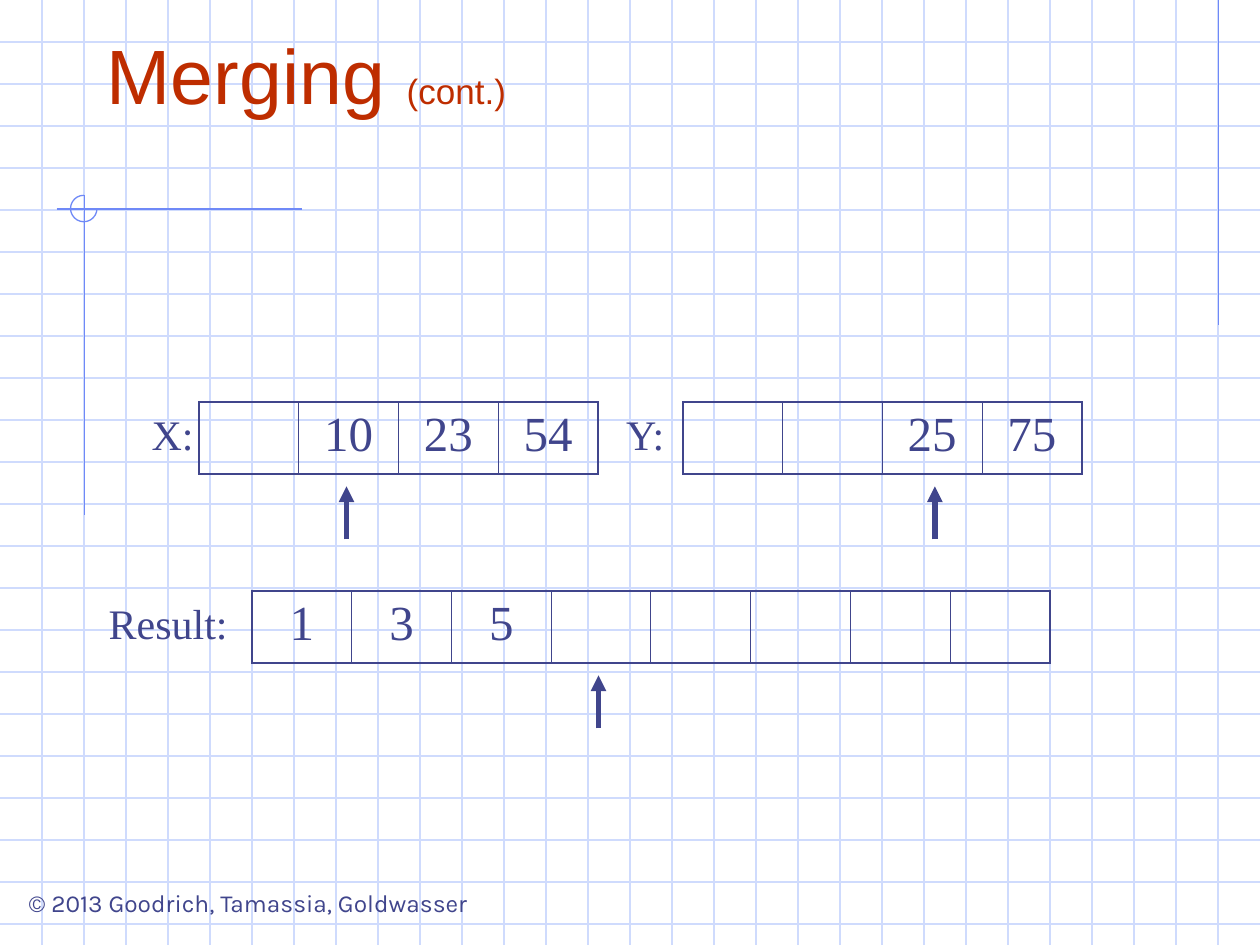
from lxml.etree import SubElement
from pptx import Presentation
from pptx.dml.color import RGBColor
from pptx.enum.shapes import MSO_CONNECTOR as Connector, MSO_SHAPE as Shape
from pptx.enum.text import MSO_ANCHOR as Anchor, PP_ALIGN as Align
from pptx.oxml.ns import qn
from pptx.util import Inches, Pt

COLORS = {"ink": "40458C", "title": "BE2D00", "grid": "CFDBFD", "accent": "6F89F7"}
SERIF = "Times New Roman"
GRID_STEP = 1 / 3
CELL_WIDTH = 0.79167
ROW_HEIGHT = 0.57


def color(name):
    return RGBColor.from_string(COLORS[name])


def write(paragraph, text, font=SERIF, size=24, ink="ink", align=Align.CENTER):
    paragraph.alignment = align
    run = paragraph.add_run()
    run.text = text
    run.font.name = font
    run.font.size = Pt(size)
    run.font.color.rgb = color(ink)


class MergeSlide:
    def __init__(self, slide):
        self.shapes = slide.shapes

    def line(self, x1, y1, x2, y2, ink="accent", width=0.75, arrow=False):
        ends = [Inches(v) for v in (x1, y1, x2, y2)]
        connector = self.shapes.add_connector(Connector.STRAIGHT, *ends)
        connector.line.color.rgb = color(ink)
        connector.line.width = Pt(width)
        properties = connector._element.spPr
        if arrow:
            SubElement(properties.find(qn("a:ln")), qn("a:tailEnd"), type="triangle")
        SubElement(properties, qn("a:effectLst"))

    def pointer(self, x, tip):
        self.line(x, tip + 0.42, x, tip, ink="ink", width=3, arrow=True)

    def arc(self, left, top, size):
        arc = self.shapes.add_shape(
            Shape.ARC, Inches(left), Inches(top), Inches(size), Inches(size))
        arc.shadow.inherit = False
        arc.adjustments[0] = 0
        arc.adjustments[1] = 162
        arc.fill.background()
        arc.line.color.rgb = color("accent")
        arc.line.width = Pt(0.75)

    def text(self, left, top, width, height, *parts, wrap=True, anchor=Anchor.TOP):
        box = self.shapes.add_textbox(
            Inches(left), Inches(top), Inches(width), Inches(height))
        frame = box.text_frame
        frame.word_wrap = wrap
        frame.vertical_anchor = anchor
        for text, style in parts:
            write(frame.paragraphs[0], text, **style)

    def border(self, cell, side, width):
        edge = SubElement(cell._tc.get_or_add_tcPr(), qn(f"a:ln{side}"), w=str(Pt(width)))
        fill = SubElement(edge, qn("a:solidFill"))
        SubElement(fill, qn("a:srgbClr"), val=COLORS["ink"])

    def array(self, left, top, values):
        count = len(values)
        table = self.shapes.add_table(
            1, count, Inches(left), Inches(top),
            Inches(CELL_WIDTH * count), Inches(ROW_HEIGHT)).table
        table.first_row = table.horz_banding = False
        for index, value in enumerate(values):
            table.columns[index].width = Inches(CELL_WIDTH)
            cell = table.cell(0, index)
            outer, inner = 1.08, 0.45
            self.border(cell, "L", outer if index == 0 else inner)
            self.border(cell, "R", outer if index == count - 1 else inner)
            self.border(cell, "T", outer)
            self.border(cell, "B", outer)
            cell.fill.background()
            if value:
                write(cell.text_frame.paragraphs[0], value, size=28)


def main():
    deck = Presentation()
    deck.slide_width, deck.slide_height = Inches(10), Inches(7.5)
    merging = MergeSlide(deck.slides.add_slide(deck.slide_layouts[6]))

    for row in range(1, 23):
        merging.line(0, row * GRID_STEP, 10, row * GRID_STEP, ink="grid")
    for column in range(1, 30):
        merging.line(column * GRID_STEP, 0, column * GRID_STEP, 7.5, ink="grid")

    merging.line(9.67, 0, 9.67, 2.58)
    merging.line(0.45, 1.66, 2.4, 1.66)
    merging.line(0.67, 1.55, 0.67, 4.09)
    merging.arc(0.56, 1.55, 0.21)

    merging.text(0.03, 7, 3.88, 0.34,
                 ("© 2013 Goodrich, Tamassia, Goldwasser", dict(font="Karla", size=14)),
                 wrap=False)
    heading = dict(font="Arial", ink="title", align=Align.LEFT)
    merging.text(0.75, 0.17, 8.5, 0.83,
                 ("Merging ", dict(heading, size=44)),
                 ("(cont.)", dict(heading, size=20)),
                 anchor=Anchor.BOTTOM)

    arrays = [
        ("X:", 1.08, 0.58, 1.58, 3.19, ["", "10", "23", "54"], 2.75),
        ("Y:", 4.83, 0.58, 5.42, 3.19, ["", "", "25", "75"], 7.42),
        ("Result:", 0.75, 1.17, 2, 4.69, ["1", "3", "5"] + [""] * 5, 4.75),
    ]
    for label, label_left, label_width, left, top, values, pointer in arrays:
        merging.array(left, top, values)
        merging.pointer(pointer, top + 0.67)
        merging.text(label_left, top, label_width, 0.5, (label, {}))

    deck.save("out.pptx")


if __name__ == "__main__":
    main()
